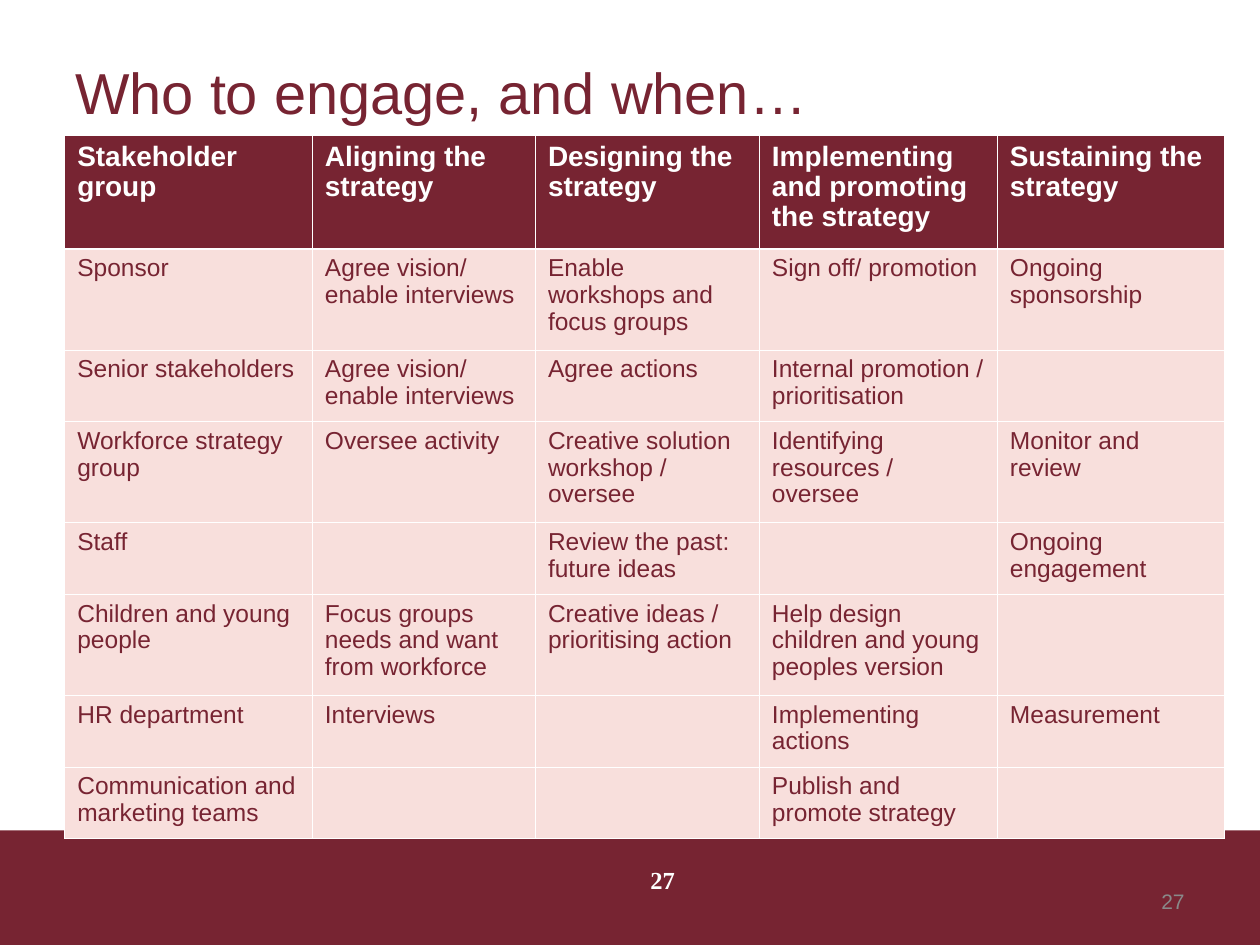
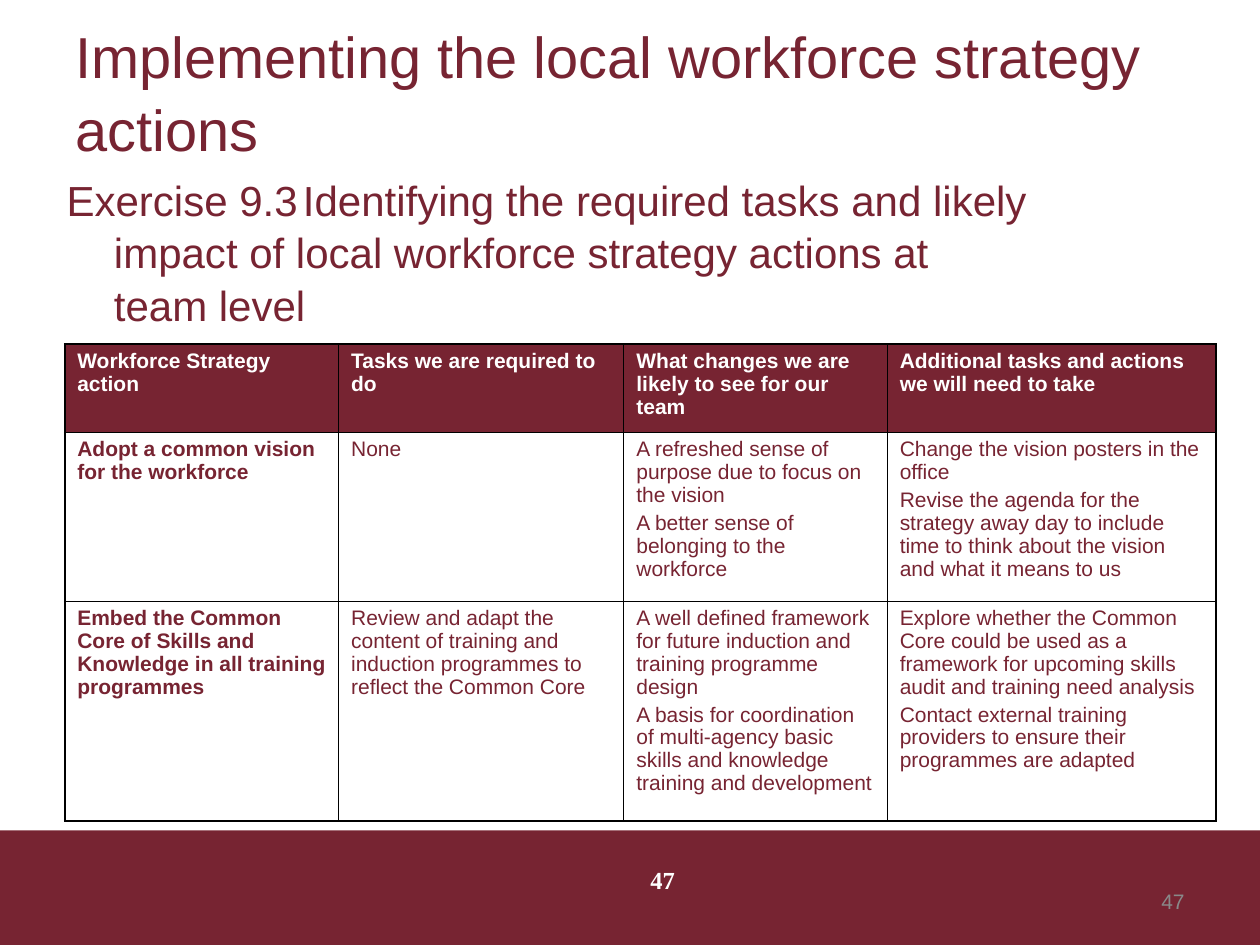
from dataclasses import dataclass

from lxml import etree
from pptx import Presentation
from pptx.dml.color import RGBColor
from pptx.enum.shapes import MSO_SHAPE
from pptx.enum.text import MSO_ANCHOR, PP_ALIGN
from pptx.oxml.ns import qn
from pptx.util import Pt

RECTANGLE = MSO_SHAPE.RECTANGLE
TOP, MIDDLE = MSO_ANCHOR.TOP, MSO_ANCHOR.MIDDLE
LEFT, CENTER, RIGHT = PP_ALIGN.LEFT, PP_ALIGN.CENTER, PP_ALIGN.RIGHT

MAROON = RGBColor(0x77, 0x24, 0x32)
BLUSH = RGBColor(0xF8, 0xDF, 0xDC)
GRAY = RGBColor(0x89, 0x89, 0x89)
WHITE = RGBColor(0xFF, 0xFF, 0xFF)
BLACK = RGBColor(0, 0, 0)

SANS, SERIF = "Arial", "Times New Roman"
HEADING_SPACING, TABLE_SPACING = 1.05, 0.97
TABLE_LEFT = 37


@dataclass
class TableStyle:
    """Look of one table: sizes, fills and border widths in points."""

    head_size: float
    body_size: float
    body_fill: RGBColor | None
    line: RGBColor
    thin: float
    outer: float
    head_rule: float
    bold_first_column: bool


ENGAGEMENT_STYLE = TableStyle(16, 14, BLUSH, WHITE, 0.45, 0.45, 1.47, False)
EXERCISE_STYLE = TableStyle(12, 12, None, BLACK, 0.45, 1.08, 0.45, True)

ENGAGEMENT_ROWS = [
    ["Stakeholder group", "Aligning the strategy", "Designing the strategy",
     "Implementing and promoting the strategy", "Sustaining the strategy"],
    ["Sponsor", "Agree vision/ enable interviews", "Enable workshops and focus groups",
     "Sign off/ promotion", "Ongoing sponsorship"],
    ["Senior stakeholders", "Agree vision/ enable interviews", "Agree actions",
     "Internal promotion / prioritisation", ""],
    ["Workforce strategy group", "Oversee activity",
     "Creative solution workshop / oversee", "Identifying resources / oversee",
     "Monitor and review"],
    ["Staff", "", "Review the past: future ideas", "", "Ongoing engagement"],
    ["Children and young people", "Focus groups needs and want from workforce",
     "Creative ideas / prioritising action",
     "Help design children and young peoples version", ""],
    ["HR department", "Interviews", "", "Implementing actions", "Measurement"],
    ["Communication and marketing teams", "", "", "Publish and promote strategy", ""],
]

EXERCISE_ROWS = [
    ["Workforce Strategy action", "Tasks we are required to do",
     "What changes we are likely to see for our team",
     "Additional tasks and actions we will need to take"],
    ["Adopt a common vision for the workforce", "None",
     "A refreshed sense of purpose due to focus on the vision\n"
     "A better sense of belonging to the workforce",
     "Change the vision posters in the office\n"
     "Revise the agenda for the strategy away day to include time to think "
     "about the vision and what it means to us"],
    ["Embed the Common Core of Skills and Knowledge in all training programmes",
     "Review and adapt the content of training and induction programmes to "
     "reflect the Common Core",
     "A well defined framework for future induction and training programme design\n"
     "A basis for coordination of multi-agency basic skills and knowledge "
     "training and development",
     "Explore whether the Common Core could be used as a framework for "
     "upcoming skills audit and training need analysis\n"
     "Contact external training providers to ensure their programmes are adapted"],
]


def set_font(paragraph, size, color, name=SANS, bold=False):
    """Set the font of a whole paragraph."""
    font = paragraph.font
    font.name, font.size, font.bold = name, Pt(size), bold
    font.color.rgb = color


def add_text(page, text, area, size, color, name=SANS, bold=False,
             align=LEFT, anchor=TOP, spacing=1.0):
    """Add a wrapped one-paragraph text box and return its paragraph."""
    box = page.shapes.add_textbox(*map(Pt, area))
    frame = box.text_frame
    frame.word_wrap = True
    frame.vertical_anchor = anchor
    paragraph = frame.paragraphs[0]
    paragraph.text = text
    paragraph.alignment = align
    paragraph.line_spacing = spacing
    set_font(paragraph, size, color, name, bold)
    return paragraph


def add_page(deck, title, title_width):
    """Add a blank page with the bottom band and the title."""
    page = deck.slides.add_slide(deck.slide_layouts[6])
    band = page.shapes.add_shape(RECTANGLE, 0, Pt(474.5), Pt(720), Pt(65.5))
    band.shadow.inherit = False
    band.fill.solid()
    band.fill.fore_color.rgb = MAROON
    band.line.fill.background()
    add_text(page, title, (36, 11.5, title_width, 80), 33, MAROON,
             anchor=MIDDLE, spacing=HEADING_SPACING)
    return page


def add_page_numbers(page, number):
    """Add the centred and the right-hand page number."""
    add_text(page, number, (516, 500.5, 168, 29), 12, GRAY,
             align=RIGHT, anchor=MIDDLE)
    add_text(page, number, (348.5, 491, 60.5, 37.5), 14, WHITE, SERIF, True, CENTER)


def add_exercise(page, label, task):
    """Add the exercise heading with its label set off by a tab."""
    paragraph = add_text(page, "", (31, 94.5, 635, 93.5), 24, MAROON,
                         spacing=HEADING_SPACING)
    paragraph.text = f"{label}\t{task}"
    properties = paragraph._p.get_or_add_pPr()
    properties.set("marL", str(Pt(27)))
    properties.set("indent", str(-Pt(27)))
    tabs = etree.Element(qn("a:tabLst"))
    etree.SubElement(tabs, qn("a:tab"), pos=str(Pt(144)), algn="l")
    properties.find(qn("a:defRPr")).addprevious(tabs)


def set_borders(cell, color, widths):
    """Draw the left, right, top and bottom borders of a cell."""
    properties = cell._tc.get_or_add_tcPr()
    for side, width in zip("LRTB", widths):
        line = etree.SubElement(properties, qn(f"a:ln{side}"), w=str(Pt(width)))
        fill = etree.SubElement(line, qn("a:solidFill"))
        etree.SubElement(fill, qn("a:srgbClr"), val=str(color))


def fill_cell(cell, text, style, is_head, is_first):
    """Write a cell's paragraphs and set its fill."""
    cell.text = text
    for index, paragraph in enumerate(cell.text_frame.paragraphs):
        paragraph.line_spacing = TABLE_SPACING
        paragraph.space_before = Pt(3 if index else 0)
        set_font(paragraph, style.head_size if is_head else style.body_size,
                 WHITE if is_head else MAROON,
                 bold=is_head or (is_first and style.bold_first_column))
    color = MAROON if is_head else style.body_fill
    if color is None:
        cell.fill.background()
    else:
        cell.fill.solid()
        cell.fill.fore_color.rgb = color


def add_grid(page, top, widths, heights, rows, style):
    """Add a table with a header row in the given style."""
    frame = page.shapes.add_table(len(heights), len(widths), Pt(TABLE_LEFT), Pt(top),
                                  Pt(sum(widths)), Pt(sum(heights)))
    table = frame.table
    table.first_row = table.horz_banding = False
    for column, width in zip(table.columns, widths):
        column.width = Pt(width)
    for row, height in zip(table.rows, heights):
        row.height = Pt(height)
    across = [style.outer] + [style.thin] * (len(widths) - 1) + [style.outer]
    down = ([style.outer, style.head_rule] + [style.thin] * (len(heights) - 2)
            + [style.outer])
    for r, texts in enumerate(rows):
        for c, text in enumerate(texts):
            cell = table.cell(r, c)
            set_borders(cell, style.line,
                        (across[c], across[c + 1], down[r], down[r + 1]))
            fill_cell(cell, text, style, r == 0, c == 0)


def main():
    """Build both pages and save the deck."""
    deck = Presentation()
    deck.slide_width, deck.slide_height = Pt(720), Pt(540)

    page = add_page(deck, "Who to engage, and when…", 523)
    two_lines, three_lines = 41, 57.7
    heights = [64.8, three_lines, two_lines, three_lines, two_lines,
               three_lines, two_lines, two_lines]
    add_grid(page, 77.5, [141.5, 127.5, 128, 136, 130], heights,
             ENGAGEMENT_ROWS, ENGAGEMENT_STYLE)
    add_page_numbers(page, "27")

    page = add_page(deck, "Implementing the local workforce strategy actions", 664.5)
    add_exercise(page, "Exercise 9.3",
                 "Identifying the required tasks and likely impact of local "
                 "workforce strategy actions at\vteam level")
    add_grid(page, 196.5, [156.5, 163, 150.5, 188], [50.5, 96.5, 125.5],
             EXERCISE_ROWS, EXERCISE_STYLE)
    add_page_numbers(page, "47")

    deck.save("out.pptx")


if __name__ == "__main__":
    main()
